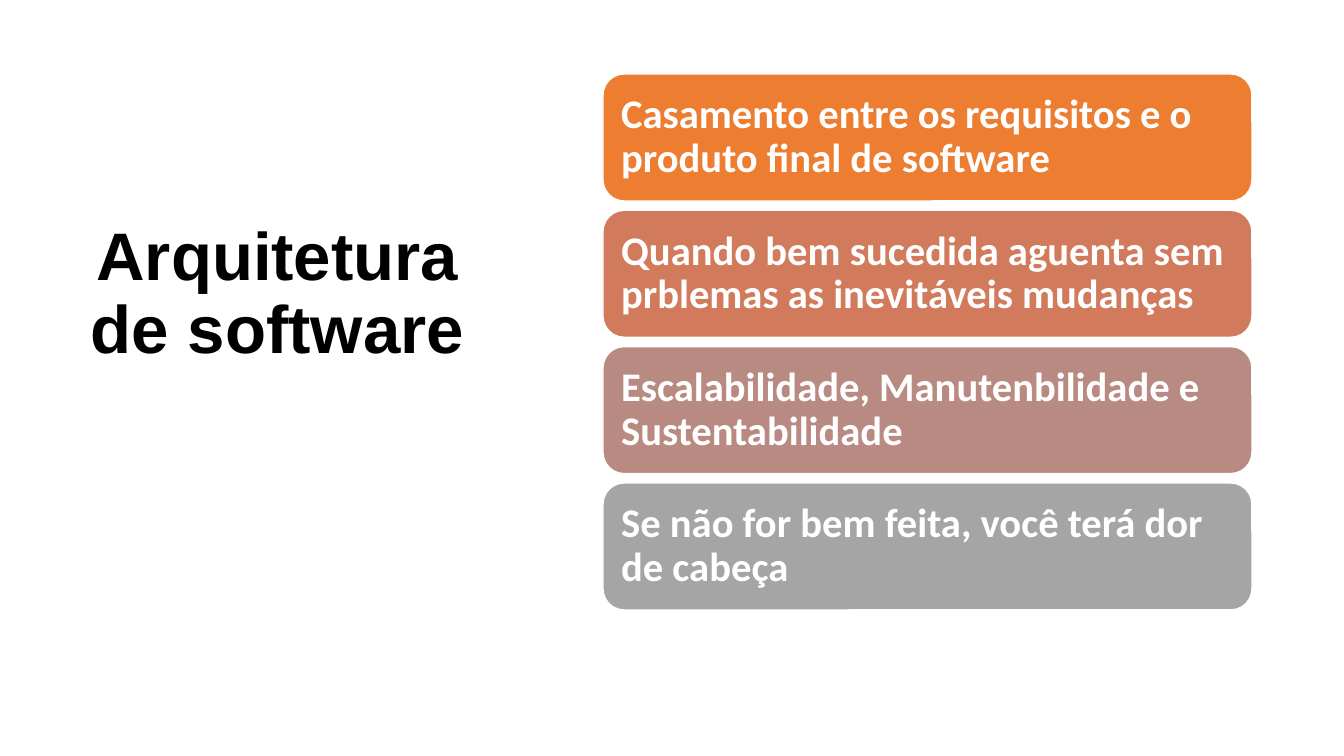
"""Builds a slide on software architecture: a title beside four stacked cards."""
from dataclasses import dataclass

from pptx import Presentation
from pptx.dml.color import RGBColor
from pptx.enum.shapes import MSO_SHAPE
from pptx.enum.text import MSO_ANCHOR, PP_ALIGN
from pptx.util import Pt

ROUNDED = MSO_SHAPE.ROUNDED_RECTANGLE
TOP, MIDDLE = MSO_ANCHOR.TOP, MSO_ANCHOR.MIDDLE
LEFT, CENTER = PP_ALIGN.LEFT, PP_ALIGN.CENTER

TITLE = "Arquitetura de software"
QUALITIES = [
    ("Casamento entre os requisitos e o produto final de software", "ED7D31"),
    ("Quando bem sucedida aguenta sem prblemas as inevitáveis mudanças", "D17B5C"),
    ("Escalabilidade, Manutenbilidade e Sustentabilidade", "B98A82"),
    ("Se não for bem feita, você terá dor de cabeça", "A5A5A5"),
]

SLIDE_SIZE = (1344, 756)
TITLE_BOX = (76, 71, 403, 550)
TITLE_INSETS = (10, 163, 10, 5)
CARD_LEFT, FIRST_TOP, LAST_TOP = 603, 74, 483
CARD_WIDTH, CARD_HEIGHT = 649, 127
CARD_INSETS = (12, 12, 12, 12)


@dataclass(frozen=True)
class Theme:
    title_font: str = "Arial"
    card_font: str = "Calibri"
    title_size: int = 48
    card_size: int = 29
    title_color: str = "000000"
    card_color: str = "FFFFFF"
    border_color: str = "FFFFFF"
    line_spacing: float = 0.9


THEME = Theme()


def px(length):
    return round(length * 914400 / 100.8)


def write(shape, wording, insets, anchor, align, font, size, color):
    frame = shape.text_frame
    frame.word_wrap = True
    frame.vertical_anchor = anchor
    (frame.margin_left, frame.margin_top,
     frame.margin_right, frame.margin_bottom) = map(px, insets)
    frame.text = wording
    paragraph = frame.paragraphs[0]
    paragraph.alignment = align
    paragraph.line_spacing = THEME.line_spacing
    lettering = paragraph.runs[0].font
    lettering.name = font
    lettering.size = Pt(size)
    lettering.bold = True
    lettering.color.rgb = RGBColor.from_string(color)


def add_card(slide, top, wording, fill):
    card = slide.shapes.add_shape(
        ROUNDED, *map(px, (CARD_LEFT, top, CARD_WIDTH, CARD_HEIGHT)))
    card.shadow.inherit = False
    card.fill.solid()
    card.fill.fore_color.rgb = RGBColor.from_string(fill)
    card.line.color.rgb = RGBColor.from_string(THEME.border_color)
    card.line.width = Pt(1)
    write(card, wording, CARD_INSETS, MIDDLE, LEFT,
          THEME.card_font, THEME.card_size, THEME.card_color)


def main():
    deck = Presentation()
    deck.slide_width, deck.slide_height = map(px, SLIDE_SIZE)
    slide = deck.slides.add_slide(deck.slide_layouts[6])

    title = slide.shapes.add_textbox(*map(px, TITLE_BOX))
    write(title, TITLE, TITLE_INSETS, TOP, CENTER,
          THEME.title_font, THEME.title_size, THEME.title_color)

    pitch = (LAST_TOP - FIRST_TOP) / (len(QUALITIES) - 1)
    for row, (wording, fill) in enumerate(QUALITIES):
        add_card(slide, FIRST_TOP + row * pitch, wording, fill)

    deck.save("out.pptx")


if __name__ == "__main__":
    main()
